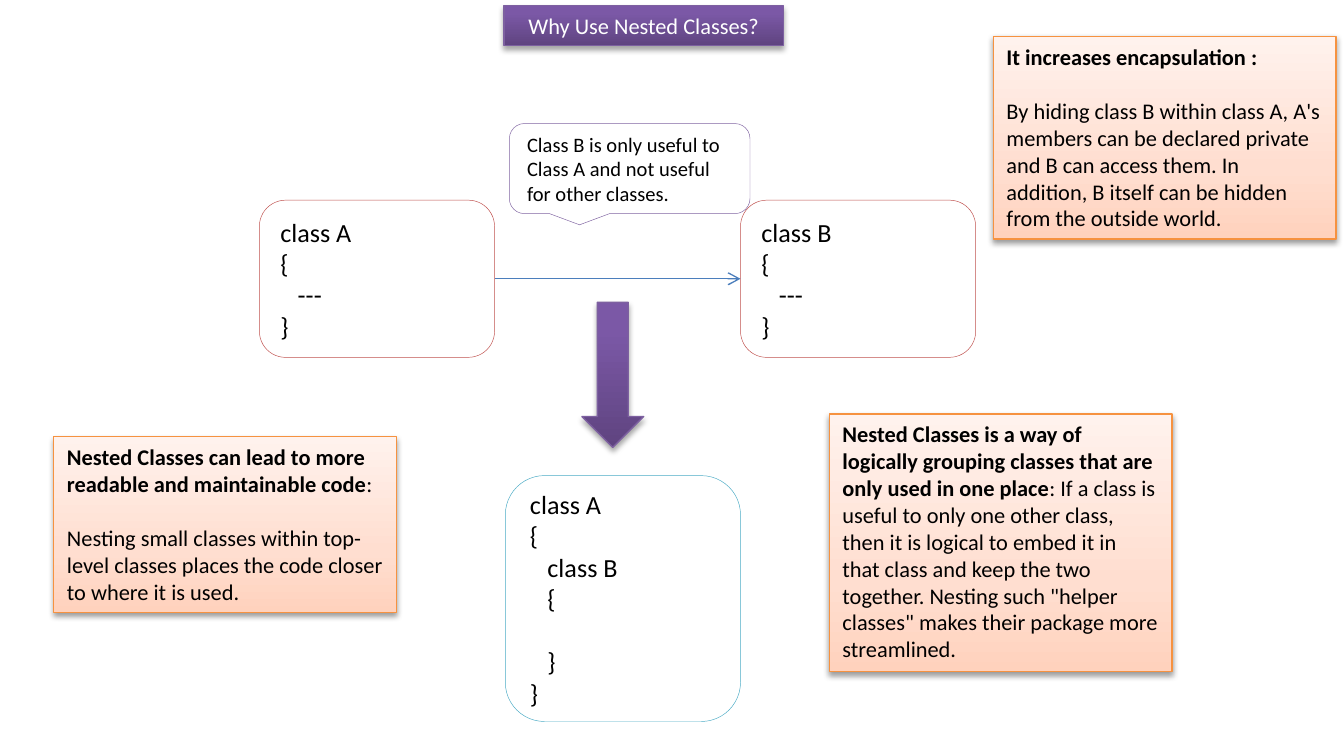
from copy import deepcopy
from dataclasses import dataclass

from pptx import Presentation
from pptx.dml.color import RGBColor
from pptx.enum.shapes import MSO_CONNECTOR, MSO_SHAPE as Preset
from pptx.enum.text import MSO_ANCHOR as Anchor, MSO_AUTO_SIZE as AutoSize, PP_ALIGN as Align
from pptx.oxml.ns import qn
from pptx.util import Inches, Pt
from lxml.etree import SubElement


@dataclass(frozen=True)
class Theme:
    font: str = "Calibri"
    body: int = 12
    code: int = 14
    callout: int = 11
    thin: float = 0.25
    line: float = 0.75
    line_height: float = 1.22
    indent: float = 0.13
    text: str = "000000"
    white: str = "FFFFFF"
    red: str = "C0504D"
    teal: str = "4BACC6"
    blue: str = "4B7EBC"
    violet: str = "8064A2"


@dataclass(frozen=True)
class Glow:
    """Gradient from bottom to top, with outline and drop shadow."""
    stops: tuple[tuple[float, str], ...]
    outline: str
    shadow_alpha: int
    shadow_distance: float


@dataclass(frozen=True)
class Line:
    spans: tuple[tuple[str, bool], ...]
    level: int = 0
    gap: int = 0  # empty lines above


@dataclass(frozen=True)
class Box:
    left: float
    top: float
    width: float
    height: float
    lines: tuple[Line, ...] = ()


THEME = Theme()
PURPLE = Glow(((0, "5F4480"), (0.8, "7B58A6"), (1, "7C57A8")), "7D60A0", 35, 1.8)
ORANGE = Glow(((0, "FFD2BD"), (0.35, "FFDED0"), (1, "FFF2ED")), "F69240", 38, 1.6)


def plain(text: str, level: int = 0, gap: int = 0) -> Line:
    return Line(((text, False),), level, gap)


def code_class(name: str, *body: Line) -> tuple[Line, ...]:
    return (plain(f"class {name}"), plain("{"), *body, plain("}"))


def add_box(page, preset, box: Box, outline: str, weight: float):
    shape = page.shapes.add_shape(preset, *map(Inches, (box.left, box.top, box.width, box.height)))
    shape.shadow.inherit = False
    shape.fill.solid()
    shape.fill.fore_color.rgb = RGBColor.from_string(THEME.white)
    shape.line.color.rgb = RGBColor.from_string(outline)
    shape.line.width = Pt(weight)
    return shape


def write(shape, lines: tuple[Line, ...], size: int, color: str = THEME.text,
          align=Align.LEFT, anchor=Anchor.MIDDLE) -> None:
    frame = shape.text_frame
    frame.word_wrap = True
    frame.vertical_anchor = anchor
    for index, line in enumerate(lines):
        para = frame.add_paragraph() if index else frame.paragraphs[0]
        para.alignment = align
        para.font.name, para.font.size = THEME.font, Pt(size)
        para.font.color.rgb = RGBColor.from_string(color)
        if line.gap:
            para.space_before = Pt(round(line.gap * size * THEME.line_height, 1))
        if line.level:
            para._p.get_or_add_pPr().set("marL", str(Inches(line.level * THEME.indent)))
        for text, bold in line.spans:
            span = para.add_run()
            span.text = text
            span.font.bold = bold


def add_glowing(page, preset, box: Box, glow: Glow):
    shape = add_box(page, preset, box, glow.outline, THEME.line)
    shape.fill.gradient()
    shape.fill.gradient_angle = 90
    properties = shape._element.spPr
    stop_list = properties.find(".//" + qn("a:gsLst"))
    stop_list.append(deepcopy(stop_list[-1]))
    for stop, (position, color) in zip(shape.fill.gradient_stops, glow.stops):
        stop.position = position
        stop.color.rgb = RGBColor.from_string(color)
    shadow = SubElement(properties.find(qn("a:effectLst")), qn("a:outerShdw"),
                        blurRad=str(Pt(3.1)), dist=str(Pt(glow.shadow_distance)),
                        dir="5400000", rotWithShape="0")
    tint = SubElement(shadow, qn("a:srgbClr"), val="000000")
    SubElement(tint, qn("a:alpha"), val=str(glow.shadow_alpha * 1000))
    return shape


def add_panel(page, box: Box, glow: Glow, color: str = THEME.text, align=Align.LEFT) -> None:
    shape = add_glowing(page, Preset.RECTANGLE, box, glow)
    write(shape, box.lines, THEME.body, color, align, Anchor.TOP)
    shape.text_frame.auto_size = AutoSize.SHAPE_TO_FIT_TEXT


def add_code(page, box: Box, outline: str):
    shape = add_box(page, Preset.ROUNDED_RECTANGLE, box, outline, THEME.thin)
    write(shape, box.lines, THEME.code)
    return shape


def add_link(page, start, end) -> None:
    link = page.shapes.add_connector(MSO_CONNECTOR.STRAIGHT, 0, 0, 0, 0)
    link.begin_connect(start, 3)
    link.end_connect(end, 1)
    link.line.color.rgb = RGBColor.from_string(THEME.blue)
    link.line.width = Pt(THEME.line)
    SubElement(link.line._get_or_add_ln(), qn("a:tailEnd"), type="arrow")
    SubElement(link._element.spPr, qn("a:effectLst"))


deck = Presentation()
deck.slide_width, deck.slide_height = Inches(10), Inches(5.5)
page = deck.slides.add_slide(deck.slide_layouts[6])

# Title
title = Box(3.75, 0.04, 2.08, 0.3, (plain("Why Use Nested Classes?"),))
add_panel(page, title, PURPLE, THEME.white, Align.CENTER)

# Separate classes, then the nested one
class_a, class_b = (
    add_code(page, Box(left, 1.49, 1.75, 1.17, code_class(name, plain("---", 1))), THEME.red)
    for name, left in (("A", 1.93), ("B", 5.51))
)
nested = code_class("A", plain("class B", 1), plain("{", 1), plain("}", 1, gap=1))
add_code(page, Box(3.76, 3.54, 1.75, 1.83, nested), THEME.teal)
add_link(page, class_a, class_b)

# Callout and down arrow
remark = Box(3.79, 0.92, 1.79, 0.67, (
    plain("Class B is only useful to Class A and not useful for other classes."),))
callout = add_box(page, Preset.ROUNDED_RECTANGULAR_CALLOUT, remark, THEME.violet, THEME.thin)
write(callout, remark.lines, THEME.callout)
add_glowing(page, Preset.DOWN_ARROW, Box(4.33, 2.25, 0.46, 1.08), PURPLE)

# Reasons
REASONS = (
    Box(6.17, 3.08, 2.55, 1.92, (Line((
        ("Nested Classes is a way of logically grouping classes that are only used in one place", True),
        (": If a class is useful to only one other class, then it is logical to embed it in that "
         "class and keep the two together. Nesting such \"helper classes\" makes their package "
         "more streamlined.", False))),)),
    Box(0.4, 3.25, 2.55, 1.31, (
        Line((("Nested Classes can lead to more readable and maintainable code", True), (":", False))),
        plain("Nesting small classes within top-level classes places the code closer to where "
              "it is used.", gap=1))),
    Box(7.39, 0.27, 2.55, 1.51, (
        Line((("It increases encapsulation :", True),)),
        plain("By hiding class B within class A, A's members can be declared private and B can "
              "access them. In addition, B itself can be hidden from the outside world.", gap=1))),
)
for reason in REASONS:
    add_panel(page, reason, ORANGE)

deck.save("out.pptx")
